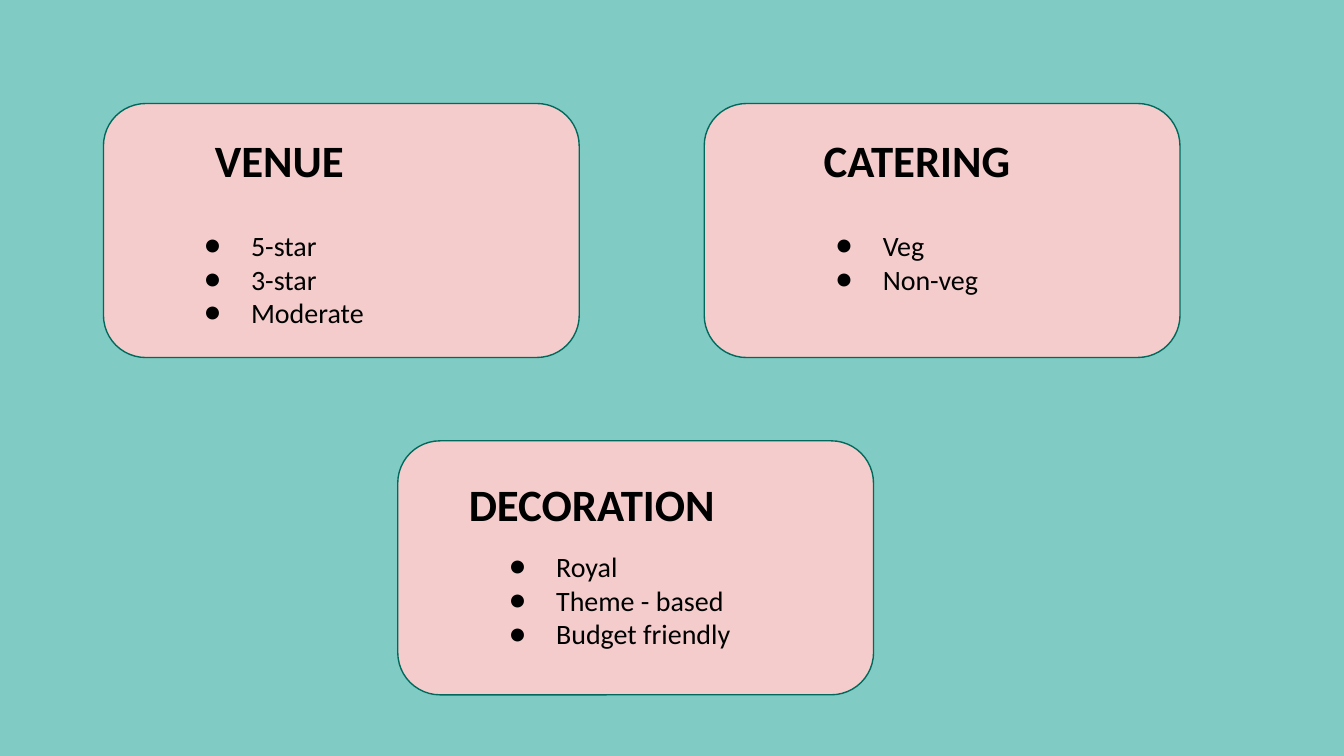
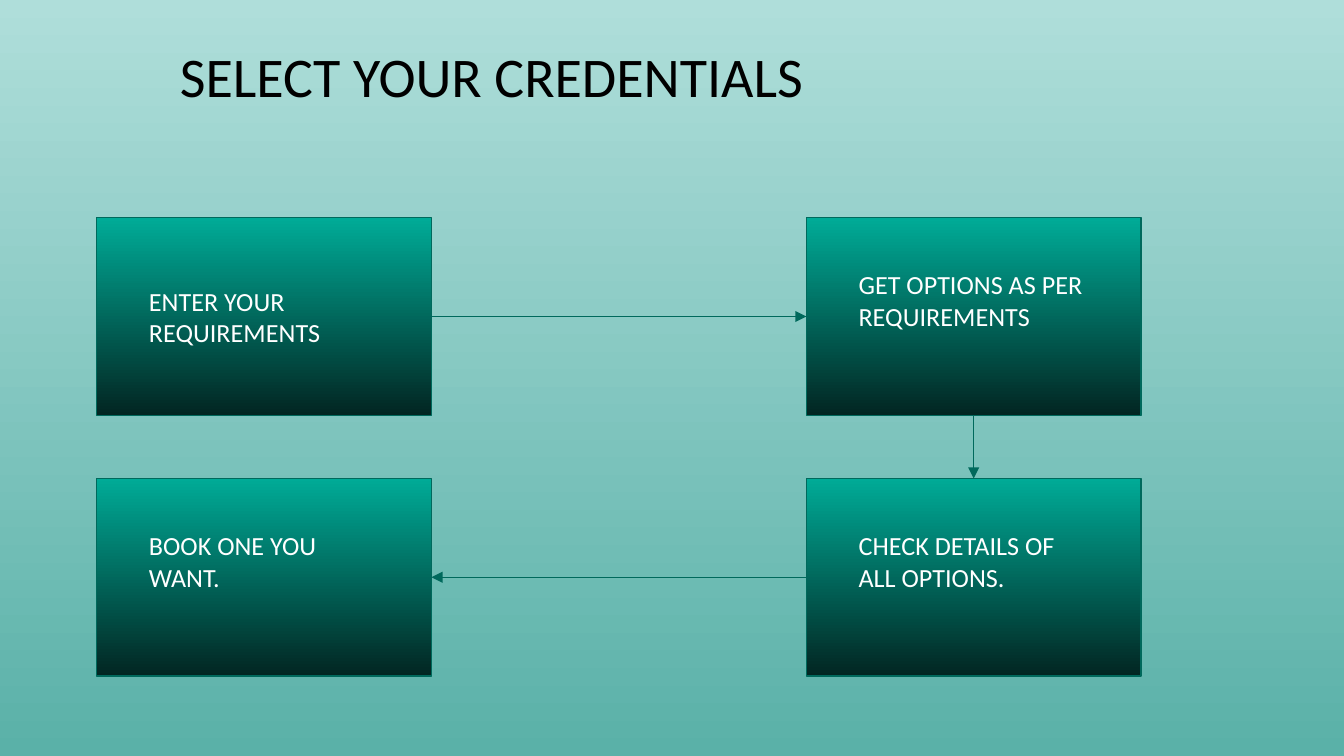
from dataclasses import dataclass

from lxml import etree
from pptx import Presentation
from pptx import util as u
from pptx.dml import color as dml
from pptx.enum import shapes as es, text as et
from pptx.oxml import ns

COLORS = {
    "back": "80CBC4", "top": "AFDEDA", "base": "5AB1A8",
    "card": "F4CCCC", "edge": "00695C", "ink": "000000", "pale": "FFFFFF",
    "light": "00AB97", "dark": "022622",
}
FONT = "Calibri"
EDGE = u.Pt(0.75)
WIDTH = u.Inches(10)
HEIGHT = WIDTH * 9 // 16

CARD_W, CARD_H = 3.54, 1.89
STEP_W, STEP_H = 2.49, 1.47
NOTE_PAD, NOTE_W = 0.29, 1.9
HEAD_INDENT = 0.38
TOP, LEFT, BOTTOM, RIGHT = range(4)


@dataclass
class Text:
    left: float
    top: float
    width: float
    height: float
    lines: list[str]
    size: float
    color: str = "ink"
    bold: bool = False
    indent: float = 0
    bullet: bool = False


@dataclass
class Card:
    left: float
    top: float
    head: Text
    items: Text


@dataclass
class Step:
    left: float
    top: float
    label: str
    drop: float
    height: float


def rgb(name: str) -> dml.RGBColor:
    return dml.RGBColor.from_string(COLORS[name])


def fade(fill, first: str, last: str) -> None:
    """Fill from top to bottom with two colours."""
    fill.gradient()
    fill.gradient_angle = 270
    for stop, name, place in zip(fill.gradient_stops, (first, last), (0, 1)):
        stop.color.rgb = rgb(name)
        stop.position = place


def add_sub(parent, tag: str, **attrs: str):
    return etree.SubElement(parent, ns.qn(tag), attrs)


def add_bullet(para) -> None:
    props = para._p.get_or_add_pPr()
    props.set("marL", str(u.Inches(0.5)))
    props.set("indent", str(u.Inches(-0.35)))
    add_sub(add_sub(props, "a:buClr"), "a:srgbClr", val=COLORS["ink"])
    add_sub(props, "a:buFont", typeface=FONT)
    add_sub(props, "a:buChar", char="●")


def add_text(slide, item: Text) -> None:
    box = slide.shapes.add_textbox(*map(
        u.Inches, (item.left, item.top, item.width, item.height)))
    frame = box.text_frame
    frame.word_wrap = True
    frame.vertical_anchor = et.MSO_ANCHOR.TOP
    frame.margin_left = frame.margin_right = u.Inches(0.1)
    frame.margin_top = frame.margin_bottom = u.Inches(0.1)
    frame.text = "\n".join(item.lines)
    for para in frame.paragraphs:
        if item.bullet:
            add_bullet(para)
        elif item.indent:
            para._p.get_or_add_pPr().set("marL", str(u.Inches(item.indent)))
        font = para.font
        font.name, font.size, font.bold = FONT, u.Pt(item.size), item.bold
        font.color.rgb = rgb(item.color)


def add_box(slide, kind, left: float, top: float, width: float, height: float):
    box = slide.shapes.add_shape(
        kind, *map(u.Inches, (left, top, width, height)))
    box.shadow.inherit = False
    box.line.color.rgb = rgb("edge")
    box.line.width = EDGE
    return box


def add_card(slide, card: Card) -> None:
    box = add_box(slide, es.MSO_SHAPE.ROUNDED_RECTANGLE,
                  card.left, card.top, CARD_W, CARD_H)
    box.fill.solid()
    box.fill.fore_color.rgb = rgb("card")
    add_text(slide, card.head)
    add_text(slide, card.items)


def add_step(slide, step: Step):
    box = add_box(slide, es.MSO_SHAPE.RECTANGLE,
                  step.left, step.top, STEP_W, STEP_H)
    fade(box.fill, "light", "dark")
    add_text(slide, Text(step.left + NOTE_PAD, step.top + step.drop, NOTE_W,
                         step.height, [step.label], 14, "pale"))
    return box


def add_arrow(slide, start, out: int, end, into: int) -> None:
    line = slide.shapes.add_connector(es.MSO_CONNECTOR.STRAIGHT, 0, 0, 0, 0)
    line.begin_connect(start, out)
    line.end_connect(end, into)
    line.line.color.rgb = rgb("edge")
    line.line.width = EDGE
    add_sub(line.line._get_or_add_ln(), "a:tailEnd", type="triangle")
    add_sub(line._element.spPr, "a:effectLst")


def head(left: float, top: float, width: float, label: str) -> Text:
    return Text(left, top, width, 0.61, [label], 24,
                bold=True, indent=HEAD_INDENT)


def items(left: float, top: float, *lines: str) -> Text:
    return Text(left, top, 2.36, 0.96, list(lines), 15, bullet=True)


CARDS = [
    Card(0.77, 0.77, head(1.12, 0.89, 2.72, "VENUE"),
         items(1.27, 1.6, "5-star", "3-star", "Moderate")),
    Card(5.24, 0.77, head(5.65, 0.89, 2.72, "CATERING"),
         items(5.97, 1.6, "Veg", "Non-veg")),
    Card(2.96, 3.28, head(3.01, 3.45, 3.07, "DECORATION"),
         items(3.54, 3.99, "Royal", "Theme - based", "Budget friendly")),
]

# Steps in the order they are taken
STEPS = [
    Step(0.72, 1.62, "ENTER YOUR REQUIREMENTS", 0.4, 0.67),
    Step(6, 1.62, "GET OPTIONS AS PER REQUIREMENTS", 0.28, 0.91),
    Step(6, 3.56, "CHECK DETAILS OF ALL OPTIONS.", 0.28, 0.91),
    Step(0.72, 3.56, "BOOK ONE YOU WANT.", 0.28, 0.67),
]
JOINS = [(RIGHT, LEFT), (BOTTOM, TOP), (LEFT, RIGHT)]


def main() -> None:
    deck = Presentation()
    deck.slide_width, deck.slide_height = WIDTH, HEIGHT
    blank = deck.slide_layouts[6]

    # Option cards
    slide = deck.slides.add_slide(blank)
    slide.background.fill.solid()
    slide.background.fill.fore_color.rgb = rgb("back")
    for card in CARDS:
        add_card(slide, card)

    # Booking flow
    slide = deck.slides.add_slide(blank)
    fade(slide.background.fill, "top", "base")
    add_text(slide, Text(1.24, 0.21, 8.5, 0.67,
                         ["SELECT YOUR CREDENTIALS"], 30))
    boxes = [add_step(slide, step) for step in STEPS]
    for start, end, (out, into) in zip(boxes, boxes[1:], JOINS):
        add_arrow(slide, start, out, end, into)

    deck.save("out.pptx")


if __name__ == "__main__":
    main()
